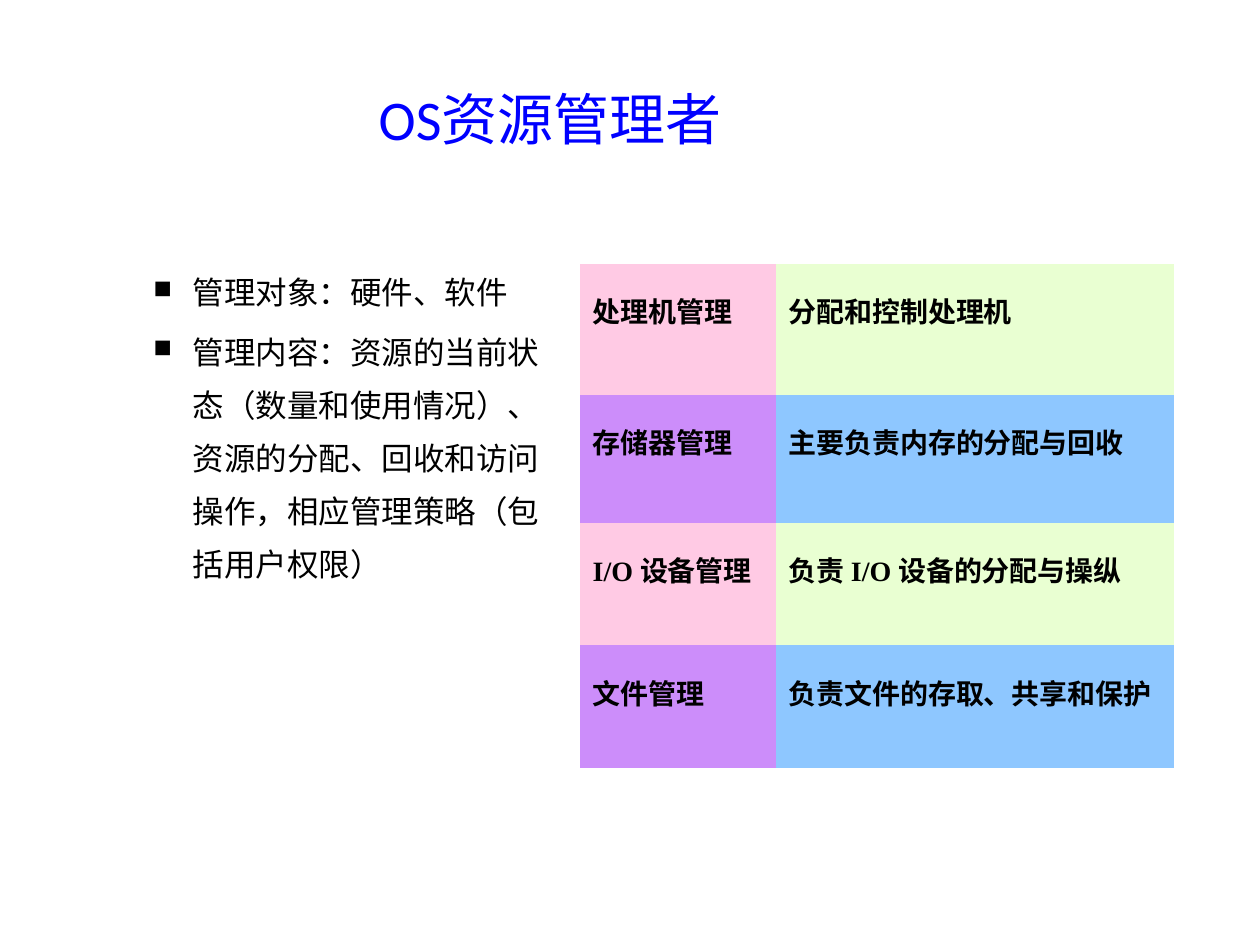
from dataclasses import dataclass

from lxml.etree import SubElement
from pptx import Presentation
from pptx.dml.color import RGBColor as Color
from pptx.enum.text import MSO_ANCHOR as Anchor, PP_ALIGN as Align
from pptx.oxml.ns import qn
from pptx.util import Pt


@dataclass(frozen=True)
class Theme:
    title_font: str = "Calibri"
    body_font: str = "Cambria"
    table_font: str = "Times New Roman"
    title_size: float = 32
    body_size: float = 18
    table_size: float = 16
    title_color: str = "0000FF"
    text_color: str = "000000"
    row_fills: tuple = (("FFCAE4", "E9FFD2"), ("CC8DFA", "8EC7FF"))


THEME = Theme()
TITLE = "OS资源管理者"
POINTS = [
    "管理对象：硬件、软件",
    "管理内容：资源的当前状态（数量和使用情况）、资源的分配、"
    "回收和访问操作，相应管理策略（包括用户权限）",
]
DUTIES = [
    ("处理机管理", "分配和控制处理机"),
    ("存储器管理", "主要负责内存的分配与回收"),
    ("I/O 设备管理", "负责 I/O 设备的分配与操纵"),
    ("文件管理", "负责文件的存取、共享和保护"),
]
COLUMN_WIDTHS = (112, 227.5)
ROW_HEIGHTS = (75, 73, 70, 70)


def add_span(para, text, font, size, color, bold=False):
    span = para.add_run()
    span.text = text
    span.font.name = font
    span.font.size = Pt(size)
    span.font.bold = bold
    span.font.color.rgb = Color.from_string(color)


def add_box(page, left, top, width, height):
    box = page.shapes.add_textbox(Pt(left), Pt(top), Pt(width), Pt(height))
    box.text_frame.word_wrap = True
    return box.text_frame


def set_indent(para, left, hanging):
    props = para._p.get_or_add_pPr()
    props.set("marL", str(Pt(left)))
    props.set("indent", str(-Pt(hanging)))
    return props


def add_title(page):
    frame = add_box(page, 34.5, 44, 560, 46)
    frame.vertical_anchor = Anchor.BOTTOM
    para = frame.paragraphs[0]
    para.alignment = Align.CENTER
    add_span(para, TITLE, THEME.title_font, THEME.title_size, THEME.title_color)


def add_bullets(page):
    frame = add_box(page, 44.5, 144, 286.5, 288)
    for index, text in enumerate(POINTS):
        para = frame.add_paragraph() if index else frame.paragraphs[0]
        para.line_spacing = 1.4
        para.space_before = Pt(4 if index else 0)
        props = set_indent(para, 58.5, 22.5)
        SubElement(props, qn("a:buSzPct"), val="80000")
        SubElement(props, qn("a:buChar"), char="■")
        add_span(para, text, THEME.body_font, THEME.body_size, THEME.text_color)


def clear_borders(cell):
    props = cell._tc.get_or_add_tcPr()
    for side in ("a:lnL", "a:lnR", "a:lnT", "a:lnB"):
        SubElement(SubElement(props, qn(side), w="0"), qn("a:noFill"))


def fill_cell(cell, text, color):
    clear_borders(cell)
    cell.fill.solid()
    cell.fill.fore_color.rgb = Color.from_string(color)
    para = cell.text_frame.paragraphs[0]
    para.line_spacing = 1.5
    set_indent(para, 27, 27)
    add_span(para, text, THEME.table_font, THEME.table_size, THEME.text_color, True)


def add_duty_table(page):
    frame = page.shapes.add_table(
        len(DUTIES), len(COLUMN_WIDTHS), Pt(331.5), Pt(150.75),
        Pt(sum(COLUMN_WIDTHS)), Pt(sum(ROW_HEIGHTS)))
    table = frame.table
    table.first_row = table.horz_banding = False
    for column, width in zip(table.columns, COLUMN_WIDTHS):
        column.width = Pt(width)
    for index, (row, height, texts) in enumerate(zip(table.rows, ROW_HEIGHTS, DUTIES)):
        row.height = Pt(height)
        fills = THEME.row_fills[index % len(THEME.row_fills)]
        for cell, text, color in zip(row.cells, texts, fills):
            fill_cell(cell, text, color)


def main():
    deck = Presentation()
    deck.slide_width, deck.slide_height = Pt(720), Pt(540)
    page = deck.slides.add_slide(deck.slide_layouts[6])
    add_title(page)
    add_bullets(page)
    add_duty_table(page)
    deck.save("out.pptx")


if __name__ == "__main__":
    main()
